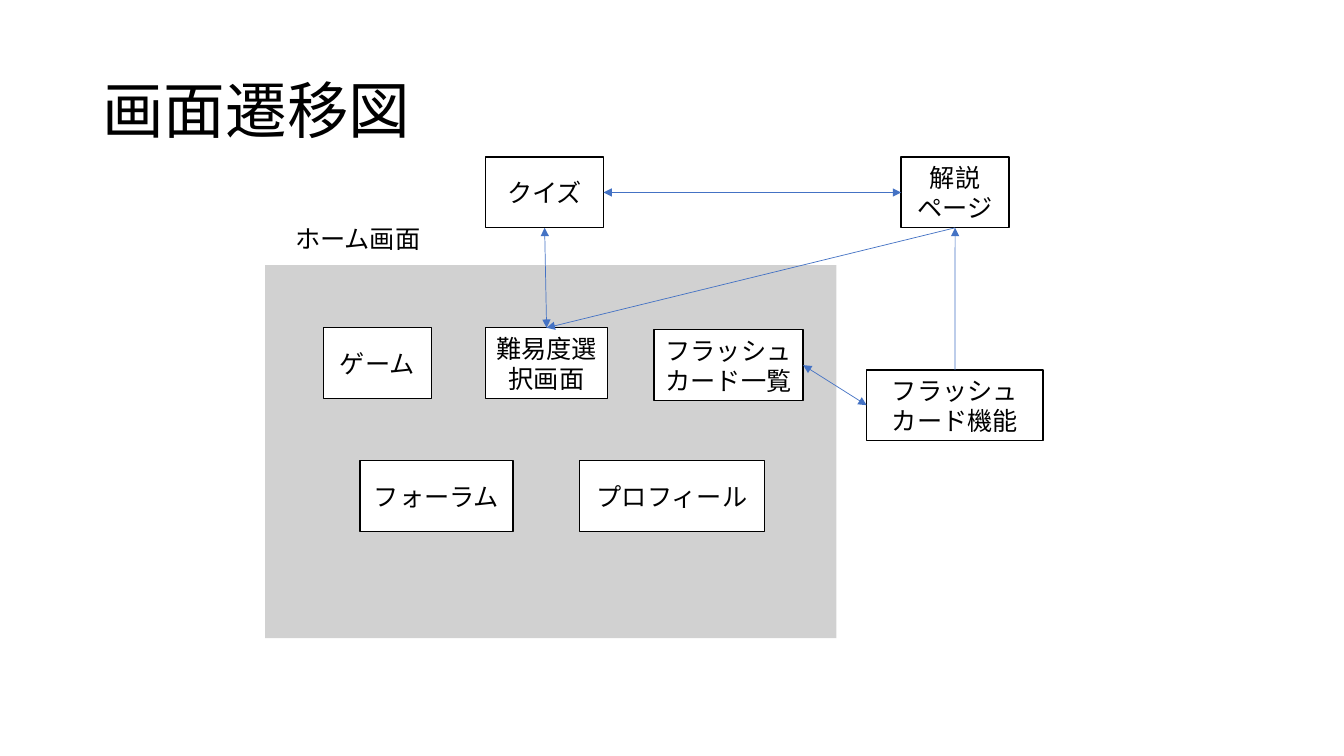
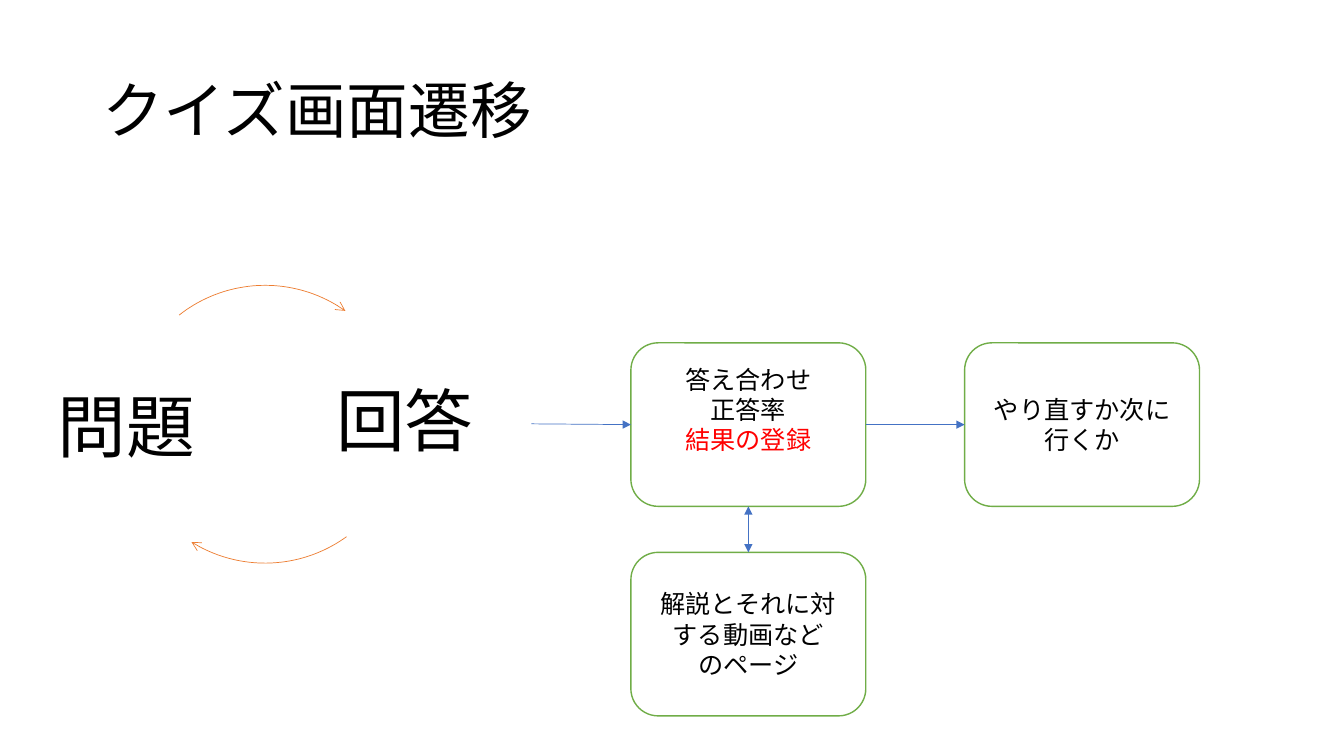
import math
from dataclasses import dataclass
from lxml import etree
from pptx import Presentation
from pptx.dml.color import RGBColor
from pptx.enum import shapes, text
from pptx.oxml.ns import qn
from pptx.util import Cm, Pt

TOP, LEFT, BOTTOM, RIGHT = range(4)


@dataclass(frozen=True)
class Theme:
    """Colours, font and type sizes of the deck."""
    font: str = "Noto Sans CJK JP"
    ink: str = "000000"
    paper: str = "FFFFFF"
    panel: str = "A5A5A5"
    link: str = "4472C4"
    cycle: str = "ED7D31"
    step: str = "70AD47"
    alert: str = "FF0000"
    title: int = 44
    large: int = 49
    body: int = 18


class Deck:
    """Style and current slide, with one method per kind of element."""

    def __init__(self, theme):
        """Start an empty wide deck."""
        self.theme = theme
        self.prs = Presentation()
        self.prs.slide_width, self.prs.slide_height = Cm(33.87), Cm(19.05)
        self.slide = None

    def page(self, title):
        """Add a slide with its title."""
        self.slide = self.prs.slides.add_slide(self.prs.slide_layouts[6])
        self.label(title, 2.33, 1.01, 29.21, 3.68, self.theme.title, space=0.9)

    def letter(self, shape, lines, size, align=None, space=None):
        """Fill a shape with paragraphs of text or (text, colour)."""
        frame = shape.text_frame
        frame.word_wrap = True
        frame.vertical_anchor = text.MSO_ANCHOR.MIDDLE
        for i, line in enumerate(lines):
            words, color = line if isinstance(line, tuple) else (line, self.theme.ink)
            para = frame.add_paragraph() if i else frame.paragraphs[0]
            para.alignment = align
            para.line_spacing = space
            run = para.add_run()
            run.text = words
            run.font.name = self.theme.font
            run.font.size = Pt(size)
            run.font.color.rgb = RGBColor.from_string(color)
            east = etree.SubElement(run.font._element, qn("a:ea"))
            east.set("typeface", self.theme.font)

    def label(self, words, x, y, w, h, size, align=None, space=None, wrap=True):
        """Add plain text."""
        area = self.slide.shapes.add_textbox(Cm(x), Cm(y), Cm(w), Cm(h))
        self.letter(area, [words], size, align, space)
        area.text_frame.word_wrap = wrap

    def box(self, lines, x, y, w, h, line=None, fill=None, size=None,
            kind=shapes.MSO_SHAPE.RECTANGLE, space=None):
        """Add a filled shape with centred text."""
        shape = self.slide.shapes.add_shape(kind, Cm(x), Cm(y), Cm(w), Cm(h))
        shape.shadow.inherit = False
        shape.fill.solid()
        shape.fill.fore_color.rgb = RGBColor.from_string(fill or self.theme.paper)
        if line:
            self.stroke(shape, line, 1)
        else:
            shape.line.fill.background()
        self.letter(shape, lines, size or self.theme.body, text.PP_ALIGN.CENTER, space)
        return shape

    def panel(self, x, y, w, h):
        """Add a half transparent panel."""
        shape = self.box([], x, y, w, h, fill=self.theme.panel)
        color = shape.element.spPr.find(".//" + qn("a:srgbClr"))
        etree.SubElement(color, qn("a:alpha")).set("val", "50000")

    def stroke(self, shape, color, width, head=None, tail=None):
        """Set a line and its arrowheads."""
        shape.line.color.rgb = RGBColor.from_string(color)
        shape.line.width = Pt(width)
        for tag, tip in (("a:headEnd", head), ("a:tailEnd", tail)):
            if tip:
                end = etree.SubElement(shape.element.spPr.get_or_add_ln(), qn(tag))
                end.set("type", tip)

    def link(self, start, out, end, into, both=False):
        """Join two shapes with an arrow."""
        wire = self.slide.shapes.add_connector(shapes.MSO_CONNECTOR.STRAIGHT, 0, 0, 0, 0)
        wire.begin_connect(start, out)
        wire.end_connect(end, into)
        self.stroke(wire, self.theme.link, 0.5, "triangle" if both else None, "triangle")
        etree.SubElement(wire.element.spPr, qn("a:effectLst"))

    def arc(self, x, y, r, start, end, steps=40):
        """Add a clockwise arc arrow between two angles in degrees."""
        turns = [math.radians(start + (end - start) * i / steps) for i in range(steps + 1)]
        dots = [(Cm(x + r * math.cos(a)), Cm(y + r * math.sin(a))) for a in turns]
        pen = self.slide.shapes.build_freeform(*dots[0])
        pen.add_line_segments(dots[1:], close=False)
        curve = pen.convert_to_shape()
        curve.shadow.inherit = False
        curve.fill.background()
        self.stroke(curve, self.theme.cycle, 0.5, tail="arrow")


def screens(deck):
    """Draw the map of screens."""
    deck.page("画面遷移図")
    deck.panel(6.68, 6.68, 14.4, 9.4)

    def screen(name, x, y, w):
        """Add one screen."""
        return deck.box([name], x, y, w, 1.78, deck.theme.ink)

    level = screen("難易度選択画面", 12.24, 8.26, 3.07)
    screen("プロフィール", 14.6, 11.61, 4.67)
    cards = screen("フラッシュカード一覧", 16.48, 8.31, 3.76)
    screen("ゲーム", 8.15, 8.26, 2.72)
    screen("フォーラム", 9.07, 11.61, 3.86)
    quiz = screen("クイズ", 12.24, 3.96, 2.97)
    guide = screen("解説ページ", 22.71, 3.96, 2.72)
    flash = screen("フラッシュカード機能", 21.84, 9.32, 4.45)
    deck.link(level, TOP, quiz, BOTTOM, both=True)
    deck.link(guide, LEFT, quiz, RIGHT, both=True)
    deck.link(cards, RIGHT, flash, LEFT, both=True)
    deck.link(flash, TOP, guide, BOTTOM)
    deck.link(guide, BOTTOM, level, TOP)
    deck.label("ホーム画面", 7.19, 5.49, 3.71, 1.02, deck.theme.body, wrap=False)


def quiz(deck):
    """Draw the flow of the quiz."""
    deck.page("クイズ画面遷移")
    theme, oval = deck.theme, shapes.MSO_SHAPE.ROUNDED_RECTANGLE
    deck.label("問題", 0.2, 8.99, 5.97, 3.73, theme.large, text.PP_ALIGN.CENTER, 0.9)
    reply = deck.box(["回答"], 7.01, 8.61, 6.38, 4.14, size=theme.large,
                     kind=oval, space=0.9)
    for start, end in ((231.8, 305.3), (54.1, 122)):
        deck.arc(6.68, 10.69, 3.5, start, end)

    def step(lines, x, y):
        """Add one step."""
        return deck.box(lines, x, y, 5.92, 4.12, theme.step, kind=oval)

    guide = step(["解説とそれに対する動画など", "のページ"], 15.9, 13.92)
    check = step(["答え合わせ", "正答率", ("結果の登録", theme.alert)], 15.9, 8.64)
    check.text_frame.margin_bottom = Cm(0.9)
    again = step(["やり直すか次に行くか"], 24.31, 8.64)
    deck.link(reply, RIGHT, check, LEFT)
    deck.link(check, RIGHT, again, LEFT)
    deck.link(guide, TOP, check, BOTTOM, both=True)


deck = Deck(Theme())
screens(deck)
quiz(deck)
deck.prs.save("out.pptx")
